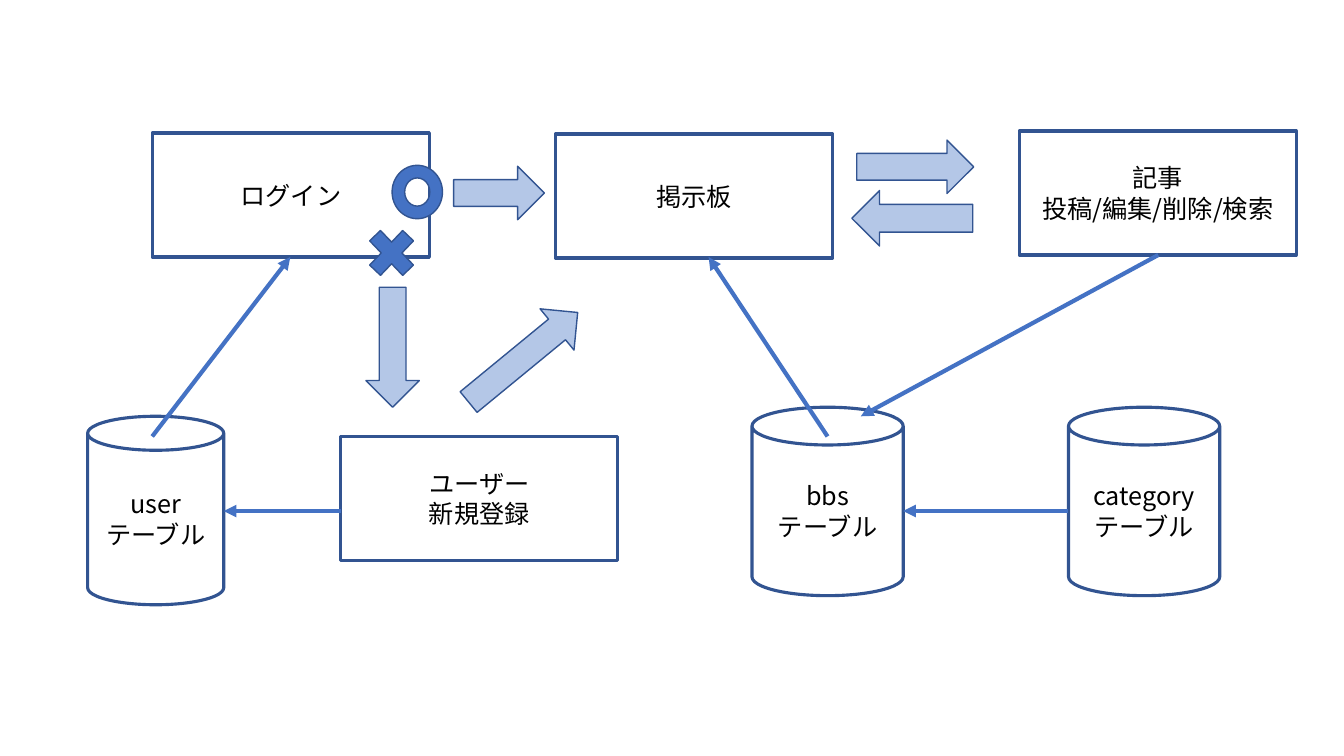
from pptx import Presentation
from pptx.dml.color import RGBColor
from pptx.enum.shapes import MSO_CONNECTOR as Connector, MSO_SHAPE as Shape
from pptx.enum.text import MSO_ANCHOR as Anchor, PP_ALIGN as Align
from pptx.oxml.ns import qn
from pptx.util import Inches, Pt
from lxml.etree import SubElement

FONT = "Noto Sans CJK JP"
OUTLINE, ACCENT, PALE, INK = "325491", "4472C4", "B4C7E7", "000000"
COLUMNS, ROWS = 133.33, 75
PAGE_WIDTH, PAGE_HEIGHT = Inches(13.33), Inches(7.5)
SCREEN_SIZE = (27.5, 12.3)
TABLE_HEIGHT = 18.7
LINK_ROW = 50.7


def color(value):
    """Turn a hex string into a colour."""
    return RGBColor.from_string(value)


def across(columns):
    """Turn grid columns into a length."""
    return round(PAGE_WIDTH * columns / COLUMNS)


def down(rows):
    """Turn grid rows into a length."""
    return round(PAGE_HEIGHT * rows / ROWS)


def add_figure(page, kind, left, top, width, height, fill=None, weight=1, turn=0):
    """Add an outlined preset shape, filled when a colour is given."""
    figure = page.shapes.add_shape(
        kind, across(left), down(top), across(width), down(height))
    figure.shadow.inherit = False
    figure.rotation = turn
    if fill:
        figure.fill.solid()
        figure.fill.fore_color.rgb = color(fill)
    else:
        figure.fill.background()
    figure.line.color.rgb = color(OUTLINE)
    figure.line.width = Pt(weight)
    return figure


def add_labelled(page, kind, left, top, width, height, lines):
    """Add an unfilled shape with one centred paragraph per line."""
    box = add_figure(page, kind, left, top, width, height, weight=2.25)
    frame = box.text_frame
    frame.word_wrap = True
    frame.vertical_anchor = Anchor.MIDDLE
    for index, line in enumerate(lines):
        para = frame.add_paragraph() if index else frame.paragraphs[0]
        para.alignment = Align.CENTER
        span = para.add_run()
        span.text = line
        span.font.size = Pt(18)
        span.font.name = FONT
        span.font.color.rgb = color(INK)
        SubElement(span.font._element, qn("a:ea"), typeface=FONT)


def add_screen(page, left, top, *lines):
    """Add a rectangle for one screen of the application."""
    add_labelled(page, Shape.RECTANGLE, left, top, *SCREEN_SIZE, lines)


def add_table_store(page, left, top, width, name):
    """Add a cylinder for one database table."""
    add_labelled(page, Shape.CAN, left, top, width, TABLE_HEIGHT, (name, "テーブル"))


def add_data_flow(page, start, end):
    """Add a thin arrow between two grid points."""
    flow = page.shapes.add_connector(
        Connector.STRAIGHT, across(start[0]), down(start[1]), across(end[0]), down(end[1]))
    flow.line.color.rgb = color(ACCENT)
    flow.line.width = Pt(3)
    SubElement(flow.line._get_or_add_ln(), qn("a:tailEnd"), type="triangle")
    SubElement(flow._element.spPr, qn("a:effectLst"))


def add_transition(page, left, top, width, height=5.3, turn=0):
    """Add a block arrow that leads from one screen to the next."""
    add_figure(page, Shape.RIGHT_ARROW, left, top, width, height, PALE, turn=turn)


def main():
    """Build the screen flow and save it."""
    deck = Presentation()
    deck.slide_width, deck.slide_height = PAGE_WIDTH, PAGE_HEIGHT
    page = deck.slides.add_slide(deck.slide_layouts[6])

    add_screen(page, 15.1, 13.2, "ログイン")
    add_screen(page, 55.1, 13.3, "掲示板")
    add_screen(page, 101.1, 13, "記事", "投稿/編集/削除/検索")
    add_screen(page, 33.8, 43.3, "ユーザー", "新規登録")

    add_table_store(page, 8.7, 41.3, 13.5, "user")
    add_table_store(page, 74.6, 40.4, 15, "bbs")
    add_table_store(page, 106, 40.4, 15, "category")

    add_data_flow(page, (114.9, 25.3), (85.4, 41.3))
    add_data_flow(page, (82.1, 43.3), (70.3, 25.5))
    add_data_flow(page, (15.1, 43.3), (28.8, 25.5))
    add_data_flow(page, (33.8, LINK_ROW), (22.2, LINK_ROW))
    add_data_flow(page, (106, LINK_ROW), (89.6, LINK_ROW))

    add_transition(page, 45, 16.5, 9)
    add_transition(page, 85, 13.9, 11.6)
    add_transition(page, 84.5, 18.9, 12, 5.5, turn=180)
    add_transition(page, 44.9, 32.8, 14, turn=320.6)
    add_transition(page, 33, 31.8, 11.9, turn=90)

    add_figure(page, Shape.MATH_MULTIPLY, 35.7, 21.8, 6.3, 6.6, ACCENT)
    add_figure(page, Shape.DONUT, 38.9, 16.4, 5, 5.3, ACCENT)

    deck.save("out.pptx")


main()
